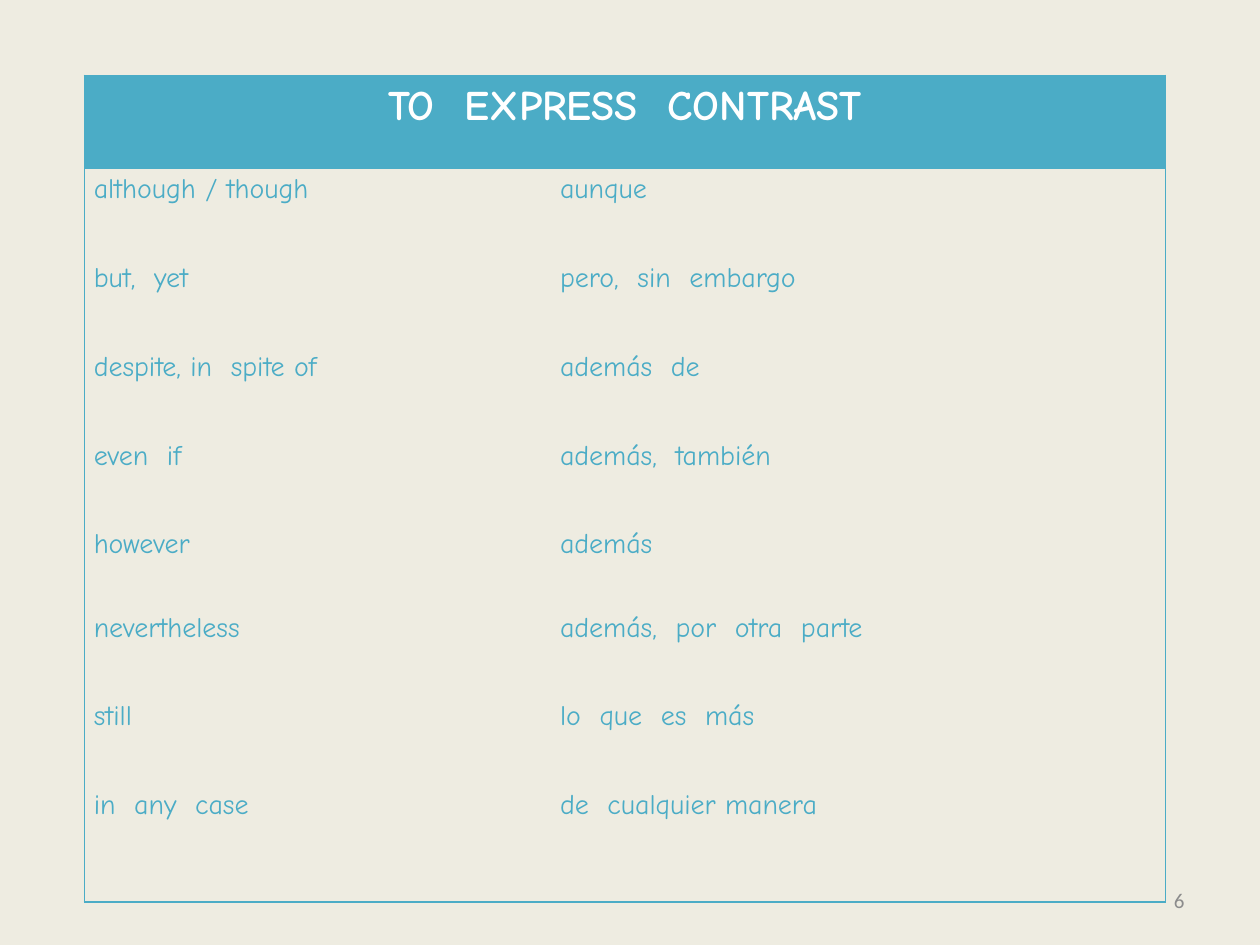
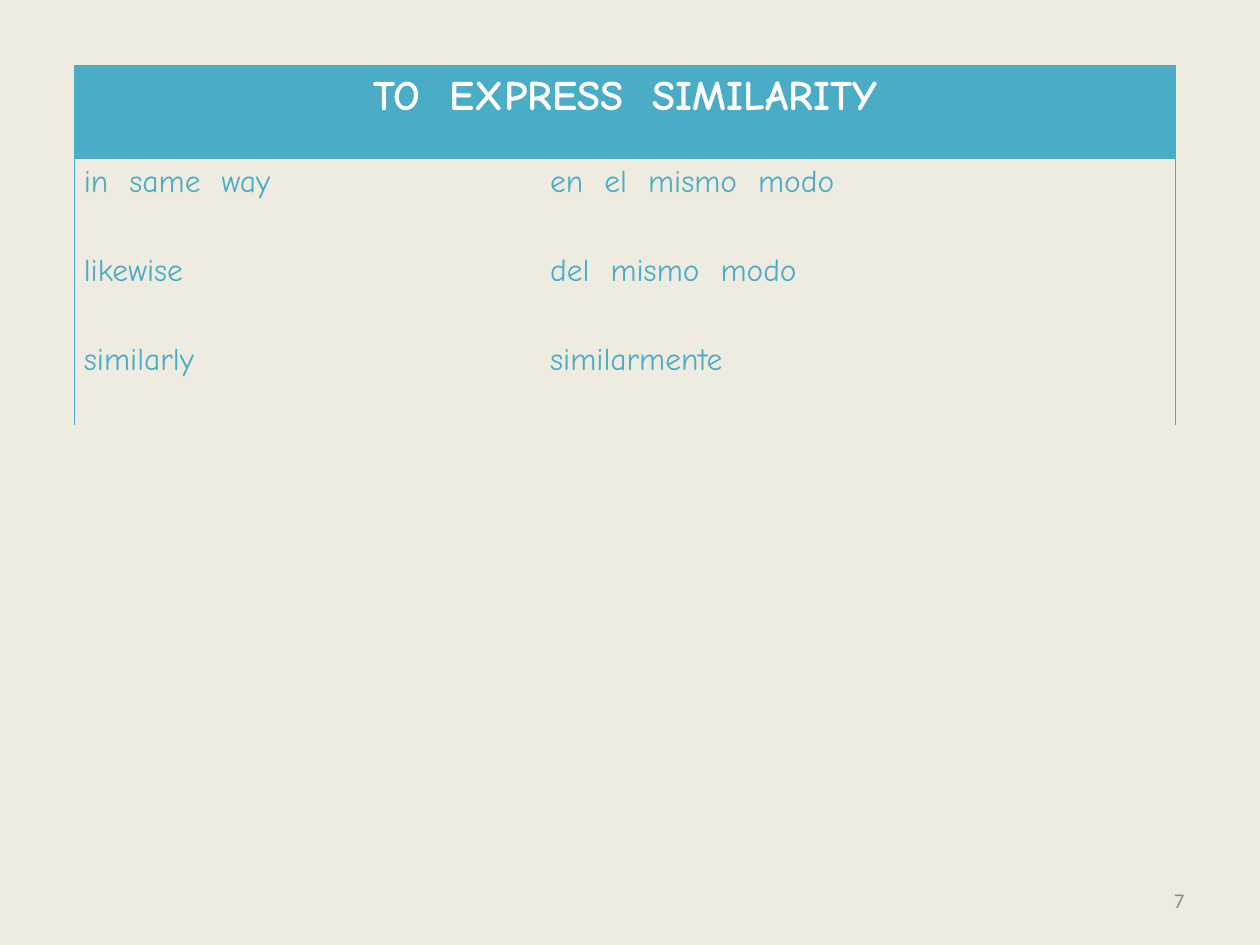
from dataclasses import dataclass

from lxml.etree import SubElement
from pptx import Presentation
from pptx.dml.color import RGBColor
from pptx.enum.text import MSO_ANCHOR as Anchor, PP_ALIGN as Align
from pptx.oxml.ns import qn
from pptx.slide import Slide
from pptx.table import Table, _Cell as Cell
from pptx.util import Cm, Pt

TEAL = RGBColor(0x4B, 0xAC, 0xC6)
CREAM = RGBColor(0xEE, 0xEC, 0xE1)
WHITE = RGBColor(0xFF, 0xFF, 0xFF)
GREY = RGBColor(0x8C, 0x8C, 0x8C)
TABLE_FONT = "Comic Neue"
NUMBER_FONT = "Calibri"
BLANK_LAYOUT = 6
HEADER_HEIGHT = 1.88
ROW_HEIGHT = 1.79
ENGLISH_WIDTH = 9.4
CELL_MARGIN = 0.19


@dataclass(frozen=True)
class Entry:
    english: str
    spanish: str
    height: float = ROW_HEIGHT


@dataclass(frozen=True)
class Vocabulary:
    number: int
    heading: str
    left: float
    top: float
    spanish_width: float
    text_size: int
    closed: bool
    entries: tuple[Entry, ...]


PAGES = (
    Vocabulary(6, "TO  EXPRESS  CONTRAST", 1.7, 1.52, 12.4, 16, True, (
        Entry("although / though", "aunque"),
        Entry("but,  yet", "pero,  sin  embargo"),
        Entry("despite, in  spite of", "además  de"),
        Entry("even  if", "además,  también"),
        Entry("however", "además", 1.68),
        Entry("nevertheless", "además,  por  otra  parte"),
        Entry("still", "lo  que  es  más"),
        Entry("in  any  case", "de  cualquier manera", 2.36),
    )),
    Vocabulary(7, "TO  EXPRESS  SIMILARITY", 1.5, 1.32, 12.8, 18, False, (
        Entry("in  same  way", "en  el  mismo  modo"),
        Entry("likewise", "del  mismo  modo"),
        Entry("similarly", "similarmente"),
    )),
)


def set_borders(cell: Cell, drawn: str) -> None:
    properties = cell._tc.get_or_add_tcPr()
    for side in "LRTB":
        line = SubElement(properties, qn(f"a:ln{side}"), w=str(Pt(1)))
        if side in drawn:
            fill = SubElement(line, qn("a:solidFill"))
            SubElement(fill, qn("a:srgbClr"), val=str(TEAL))
        else:
            SubElement(line, qn("a:noFill"))


def write_cell(cell: Cell, text: str, size: int, color: RGBColor,
               bold: bool = False, align: Align = Align.LEFT) -> None:
    cell.margin_left = cell.margin_right = Cm(CELL_MARGIN)
    cell.margin_top = cell.margin_bottom = 0
    cell.text = text
    para = cell.text_frame.paragraphs[0]
    para.alignment = align
    para.line_spacing = 1.15
    para.font.name = TABLE_FONT
    para.font.size = Pt(size)
    para.font.bold = bold
    para.font.color.rgb = color


def fill_header(table: Table, heading: str) -> None:
    first, second = table.cell(0, 0), table.cell(0, 1)
    first.merge(second)
    for cell in (first, second):
        set_borders(cell, "LRT")
        cell.fill.solid()
        cell.fill.fore_color.rgb = TEAL
    write_cell(first, heading, 24, WHITE, True, Align.CENTER)


def add_vocabulary_table(page: Slide, vocabulary: Vocabulary) -> None:
    entries = vocabulary.entries
    widths = (ENGLISH_WIDTH, vocabulary.spanish_width)
    heights = (HEADER_HEIGHT, *(entry.height for entry in entries))
    table = page.shapes.add_table(
        len(heights), len(widths), Cm(vocabulary.left), Cm(vocabulary.top),
        Cm(sum(widths)), Cm(sum(heights))).table
    table.horz_banding = False
    for column, width in zip(table.columns, widths):
        column.width = Cm(width)
    for row, height in zip(table.rows, heights):
        row.height = Cm(height)
    fill_header(table, vocabulary.heading)
    for row, entry in enumerate(entries, start=1):
        bottom = "B" if vocabulary.closed and row == len(entries) else ""
        for column, (text, side) in enumerate(((entry.english, "L"), (entry.spanish, "R"))):
            cell = table.cell(row, column)
            set_borders(cell, side + bottom)
            cell.fill.background()
            write_cell(cell, text, vocabulary.text_size, TEAL)


def add_page_number(page: Slide, number: int) -> None:
    box = page.shapes.add_textbox(Cm(18.2), Cm(17.65), Cm(5.93), Cm(1.01))
    frame = box.text_frame
    frame.word_wrap = True
    frame.vertical_anchor = Anchor.MIDDLE
    para = frame.paragraphs[0]
    para.text = str(number)
    para.alignment = Align.RIGHT
    para.font.name = NUMBER_FONT
    para.font.size = Pt(12)
    para.font.color.rgb = GREY


def main() -> None:
    deck = Presentation()
    deck.slide_width, deck.slide_height = Cm(25.4), Cm(19.05)
    backdrop = deck.slide_master.background.fill
    backdrop.solid()
    backdrop.fore_color.rgb = CREAM
    for vocabulary in PAGES:
        page = deck.slides.add_slide(deck.slide_layouts[BLANK_LAYOUT])
        add_page_number(page, vocabulary.number)
        add_vocabulary_table(page, vocabulary)
    deck.save("out.pptx")


if __name__ == "__main__":
    main()
